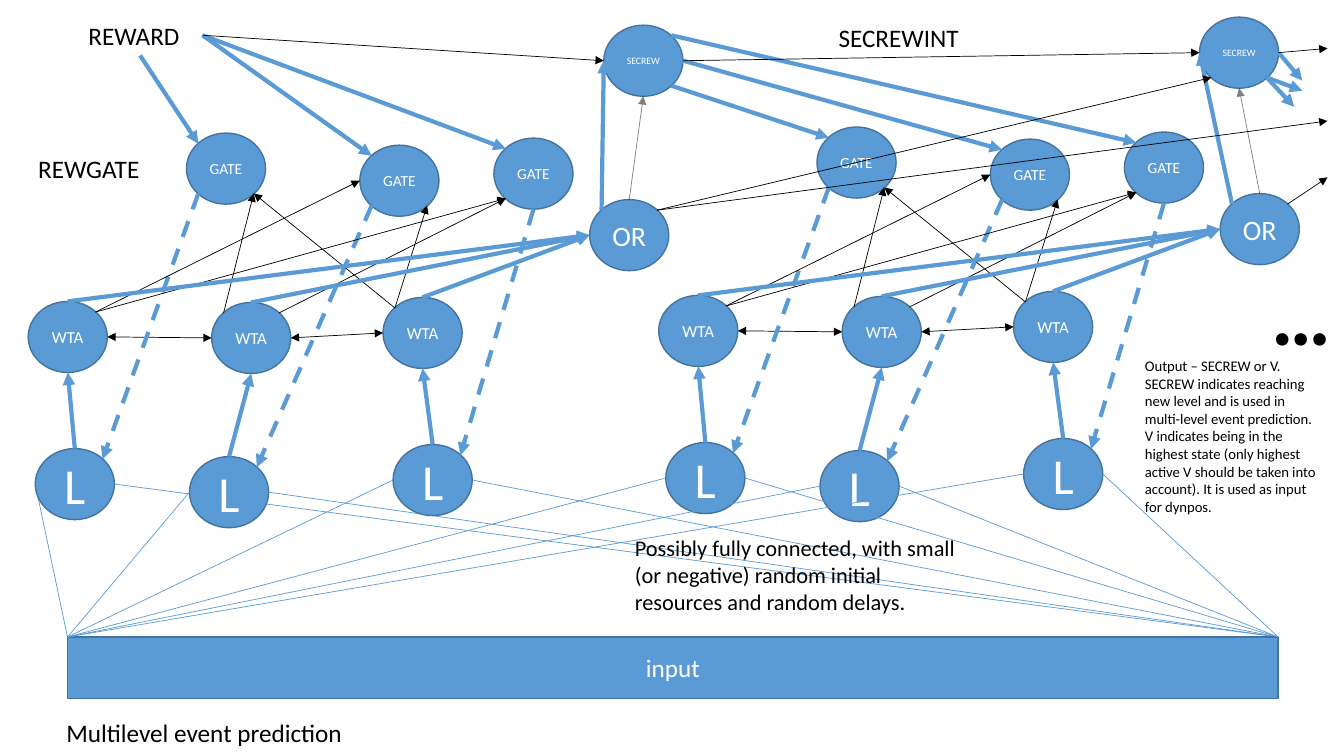
from lxml.etree import SubElement
from pptx import Presentation
from pptx.dml.color import RGBColor
from pptx.enum.dml import MSO_LINE
from pptx.enum.shapes import MSO_CONNECTOR, MSO_SHAPE
from pptx.enum.text import MSO_ANCHOR, MSO_AUTO_SIZE, PP_ALIGN
from pptx.oxml.ns import qn
from pptx.util import Inches, Pt

COLOURS = {"blue": "5B9BD5", "edge": "43739E", "black": "000000", "white": "FFFFFF"}
CELL = Inches(0.1)
NODE_WIDTH, NODE_HEIGHT = 7.85, 7.05
INPUT = (6.7, 63.2, 120.1, 6.1)

deck = Presentation()
deck.slide_width, deck.slide_height = int(133.33 * CELL), 75 * CELL
page = deck.slides.add_slide(deck.slide_layouts[6])

SIDES = {"N": (0.5, 0), "NE": (0.85, 0.15), "E": (1, 0.5), "SE": (0.85, 0.85),
         "S": (0.5, 1), "SW": (0.15, 0.85), "W": (0, 0.5), "NW": (0.15, 0.15)}
SIZES = {"L": 36, "WTA": 12, "GATE": 11, "OR": 20, "SECREW": 7}
LEVEL_NODES = {"L1": (3.5, 44.5), "L2": (18.8, 45.3), "L3": (39, 44.1),
               "WTA1": (2.8, 29.9), "WTA2": (21, 30), "WTA3": (38, 29.5),
               "GATE1": (18.5, 13.2), "GATE2": (35.7, 14.4), "GATE3": (49, 13.7),
               "OR": (58.5, 19.8)}
LEVEL_STEP = (62.55, -0.6)
SECREWS = [(59.9, 2.5), (119, 1.7)]

STYLES = {
    "input": {"colour": "blue", "width": 0.5},
    "signal": {"colour": "blue", "width": 3, "ends": ["tailEnd"]},
    "feedback": {"colour": "blue", "width": 3, "ends": ["tailEnd"], "dash": MSO_LINE.DASH},
    "thin": {"colour": "black", "width": 0.5, "ends": ["tailEnd"]},
    "rivals": {"colour": "black", "width": 0.5, "ends": ["headEnd", "tailEnd"]},
    "faint": {"colour": "black", "width": 0.5, "ends": ["tailEnd"], "alpha": "50000"},
}
LEVEL_LINKS = [
    ("rivals", "WTA2 E", "WTA3 W"), ("rivals", "WTA2 W", "WTA1 E"),
    ("feedback", "GATE1 SW", "L1 NE"), ("feedback", "GATE2 SW", "L2 NE"),
    ("feedback", "GATE3 S", "L3 NE"),
    ("signal", "L1 N", "WTA1 S"), ("signal", "L2 N", "WTA2 S"), ("signal", "L3 N", "WTA3 S"),
    ("thin", "WTA1 NE", "GATE2 W"), ("thin", "WTA1 NE", "GATE3 SW"),
    ("thin", "WTA2 NW", "GATE1 SE"), ("thin", "WTA2 NE", "GATE3 SW"),
    ("thin", "WTA3 NW", "GATE1 SE"), ("thin", "WTA3 NW", "GATE2 SE"),
    ("signal", "WTA1 N", "OR W"), ("signal", "WTA2 N", "OR W"), ("signal", "WTA3 N", "OR W"),
    ("signal", "OR NW", "SECREW W"), ("faint", "OR N", "SECREW S"),
]
REWARD_LINKS = [
    [("signal", (13.9, 5.5), "GATE1 NW"), ("signal", (20.1, 3.5), "GATE2 NW"),
     ("signal", (20.1, 3.5), "GATE3 NW")],
    [("signal", (66.6, 8.5), "GATE1 NW"), ("signal", (67.7, 6), "GATE2 NW"),
     ("signal", (66.6, 3.5), "GATE3 NW")],
]


def write(shape, lines, size, colour, frame_format, align=PP_ALIGN.LEFT):
    frame = shape.text_frame
    for name, value in frame_format.items():
        setattr(frame, name, value)
    for index, line in enumerate(lines):
        para = frame.paragraphs[0] if index == 0 else frame.add_paragraph()
        para.alignment = align
        span = para.add_run()
        span.text = line
        for name, value in {"name": "Calibri", "size": Pt(size), "bold": size == 60}.items():
            setattr(span.font, name, value)
        span.font.color.rgb = RGBColor.from_string(COLOURS[colour])


def link(style_name, start, end):
    style = STYLES[style_name]
    ends = [int(length * CELL) for length in (*start, *end)]
    connector = page.shapes.add_connector(MSO_CONNECTOR.STRAIGHT, *ends)
    connector.line.color.rgb = RGBColor.from_string(COLOURS[style["colour"]])
    connector.line.width = Pt(style["width"])
    if "dash" in style:
        connector.line.dash_style = style["dash"]
    properties = connector._element.spPr
    outline = properties.find(qn("a:ln"))
    if "alpha" in style:
        tint = outline.find(".//" + qn("a:srgbClr"))
        SubElement(tint, qn("a:alpha"), val=style["alpha"])
    for arrow in style.get("ends", []):
        SubElement(outline, qn("a:" + arrow), type="triangle")
    SubElement(properties, qn("a:effectLst"))


levels = []
for level, secrew in enumerate(SECREWS):
    nodes = {name: (left + level * LEVEL_STEP[0], top + level * LEVEL_STEP[1])
             for name, (left, top) in LEVEL_NODES.items()}
    nodes["SECREW"] = secrew
    spots = {f"{name} {side}": (left + across * NODE_WIDTH, top + down * NODE_HEIGHT)
             for name, (left, top) in nodes.items()
             for side, (across, down) in SIDES.items()}
    levels.append((nodes, spots))

solids = [(MSO_SHAPE.RECTANGLE, INPUT, "input", 18)]
for nodes, spots in levels:
    for name, corner in nodes.items():
        label = name.rstrip("123")
        solids.append((MSO_SHAPE.OVAL, (*corner, NODE_WIDTH, NODE_HEIGHT), label, SIZES[label]))

left_corner = INPUT[:2]
right_corner = (INPUT[0] + INPUT[2], INPUT[1])
input_links = [[pair for name in ("L1", "L2", "L3")
                for pair in ((left_corner, spots[name + " W"]), (right_corner, spots[name + " E"]))]
               for nodes, spots in levels]

for start, end in input_links[0]:
    link("input", start, end)
for preset, area, label, size in solids:
    box = page.shapes.add_shape(preset, *[int(length * CELL) for length in area])
    box.shadow.inherit = False
    box.fill.solid()
    box.fill.fore_color.rgb = RGBColor.from_string(COLOURS["blue"])
    box.line.color.rgb = RGBColor.from_string(COLOURS["edge"])
    box.line.width = Pt(1)
    write(box, [label], size, "white",
          {"word_wrap": False, "vertical_anchor": MSO_ANCHOR.MIDDLE}, PP_ALIGN.CENTER)
for (nodes, spots), rewards in zip(levels, REWARD_LINKS):
    for style_name, start, end in LEVEL_LINKS:
        link(style_name, spots[start], spots[end])
    for style_name, start, end in rewards:
        link(style_name, start, spots[end])
for start, end in input_links[1]:
    link("input", start, end)

first, second = [spots for nodes, spots in levels]
for style_name, start, end in [
    ("thin", first["OR NE"], second["SECREW SW"]),
    ("thin", first["OR NE"], (131.7, 12)),
    ("thin", second["OR NE"], (131.7, 17.6)),
    ("signal", second["SECREW SE"], (128.4, 10.6)),
    ("signal", second["SECREW E"], (129.2, 8)),
    ("signal", second["SECREW SE"], (129.2, 9)),
    ("thin", (20.1, 3.5), first["SECREW W"]),
    ("thin", first["SECREW E"], second["SECREW W"]),
    ("thin", second["SECREW E"], (131.7, 4.8)),
]:
    link(style_name, start, end)

for area, size, lines in [
    ((7.8, 1.5, 12.4, 4), 18, ["REWARD"]),
    ((2.8, 14.7, 13.1, 4), 18, ["REWGATE"]),
    ((82.2, 1.7, 19.5, 4), 18, ["SECREWINT"]),
    ((5.6, 70.7, 60, 4), 18, ["Multilevel event prediction"]),
    ((125.2, 25.4, 4.7, 11.1), 60, ["…"]),
    ((62, 52.5, 35.3, 9.1), 16, ["Possibly fully connected, with small (or negative) random "
                                 "initial resources and random delays."]),
    ((112.6, 34.9, 19.2, 16.9), 10.5, [
        "Output – SECREW or V.",
        "SECREW indicates reaching new level and is used in multi-level event prediction.",
        "V indicates being in the highest state (only highest active V should be taken "
        "into account). It is used as input for dynpos."]),
]:
    box = page.shapes.add_textbox(*[int(length * CELL) for length in area])
    write(box, lines, size, "black",
          {"word_wrap": True, "auto_size": MSO_AUTO_SIZE.SHAPE_TO_FIT_TEXT})

deck.save("out.pptx")
